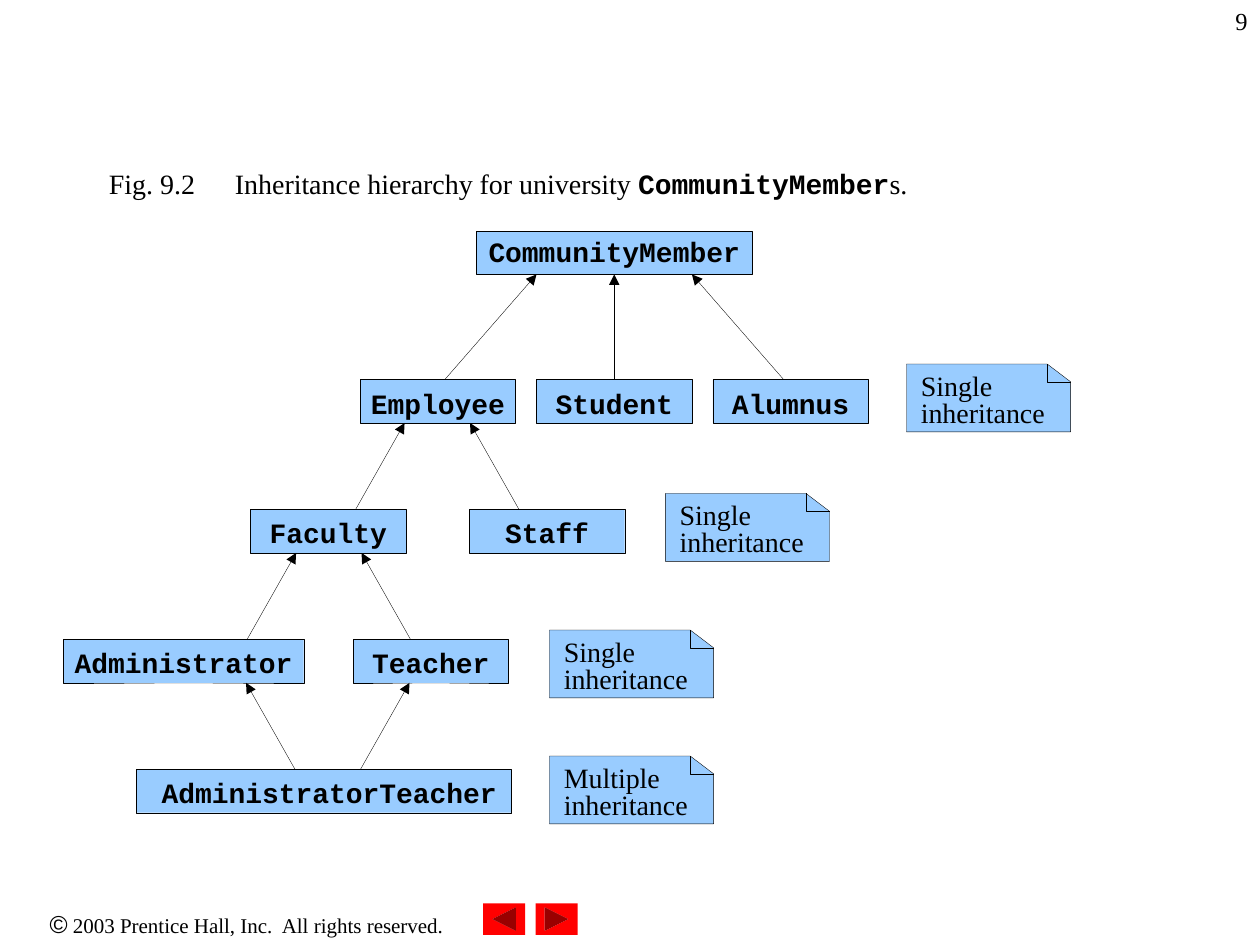
from lxml import etree
from pptx import Presentation
from pptx.dml.color import RGBColor
from pptx.enum.shapes import MSO_CONNECTOR, MSO_SHAPE
from pptx.enum.text import MSO_ANCHOR, PP_ALIGN
from pptx.oxml.ns import qn
from pptx.util import Pt

BLACK = RGBColor(0x00, 0x00, 0x00)
BLUE = RGBColor(0x99, 0xCC, 0xFF)
RED = RGBColor(0xFF, 0x00, 0x00)

SERIF, MONO, SANS = "Times New Roman", "Courier New", "Arial"
LEFT, CENTER, RIGHT = PP_ALIGN.LEFT, PP_ALIGN.CENTER, PP_ALIGN.RIGHT
TOP = MSO_ANCHOR.TOP
RECT = MSO_SHAPE.RECTANGLE
BACK = MSO_SHAPE.ACTION_BUTTON_BACK_OR_PREVIOUS
NEXT = MSO_SHAPE.ACTION_BUTTON_FORWARD_OR_NEXT
STRAIGHT = MSO_CONNECTOR.STRAIGHT

LINE_W = 0.2
BOX_H = 24.8
NOTE_W, NOTE_H = 93.8, 38.8
FOLD_W, FOLD_H = 13.4, 10.2


def add_run(p, text, font=SERIF, size=16, bold=False):
    r = p.add_run()
    r.text = text
    r.font.name = font
    r.font.size = Pt(size)
    r.font.bold = bold
    r.font.color.rgb = BLACK


class Diagram:
    """Holds the drawing style and the current slide."""

    def __init__(self, slide):
        self.shapes = slide.shapes

    def outline(self, sp, fill=BLUE):
        sp.shadow.inherit = False
        if fill is None:
            sp.fill.background()
        else:
            sp.fill.solid()
            sp.fill.fore_color.rgb = fill
        sp.line.color.rgb = BLACK
        sp.line.width = Pt(LINE_W)

    def paragraph(self, sp, align, insets, wrap=True, spacing=None):
        tf = sp.text_frame
        tf.word_wrap = wrap
        tf.vertical_anchor = TOP
        tf.margin_left, tf.margin_top, tf.margin_right, tf.margin_bottom = map(Pt, insets)
        p = tf.paragraphs[0]
        p.alignment = align
        if spacing:
            p.line_spacing = spacing
        return p

    def text(self, x, y, w, h, runs, align=LEFT, wrap=True):
        sp = self.shapes.add_textbox(Pt(x), Pt(y), Pt(w), Pt(h))
        p = self.paragraph(sp, align, (7.2, 3.6, 7.2, 3.6), wrap)
        for text, fmt in runs:
            add_run(p, text, **fmt)

    def class_box(self, name, x, y, w, inset_top=7.4, inset_left=0):
        sp = self.shapes.add_shape(RECT, Pt(x), Pt(y), Pt(w), Pt(BOX_H))
        self.outline(sp)
        p = self.paragraph(sp, CENTER, (inset_left, inset_top, 0, 0), spacing=0.8)
        add_run(p, name, font=MONO, bold=True)
        return sp

    def freeform(self, points, close, fill):
        (x, y), *rest = [(Pt(px), Pt(py)) for px, py in points]
        builder = self.shapes.build_freeform(x, y)
        builder.add_line_segments(rest, close=close)
        sp = builder.convert_to_shape()
        self.outline(sp, fill)
        return sp

    def note(self, text, x, y):
        right, bottom = x + NOTE_W, y + NOTE_H
        corner = [(right, y + FOLD_H), (right - FOLD_W, y + FOLD_H), (right - FOLD_W, y)]
        sp = self.freeform([corner[2], corner[0], (right, bottom), (x, bottom), (x, y)],
                           True, BLUE)
        p = self.paragraph(sp, LEFT, (8.2, 6.2, 8.2, 0), spacing=0.8)
        add_run(p, text)
        self.freeform(corner, False, None)

    def arrow(self, child, parent, x1=None, x2=None):
        """Point from a child's top to its parent's bottom; join the middles if no x."""
        bottom = parent.top + parent.height
        cx = self.shapes.add_connector(STRAIGHT, Pt(x1 or 0), child.top, Pt(x2 or 0), bottom)
        if x1 is None:
            cx.begin_connect(child, 0)
            cx.end_connect(parent, 2)
        cx.line.color.rgb = BLACK
        cx.line.width = Pt(LINE_W)
        etree.SubElement(cx.line._get_or_add_ln(), qn("a:tailEnd"), type="triangle")
        etree.SubElement(cx._element.spPr, qn("a:effectLst"))

    def button(self, kind, x):
        sp = self.shapes.add_shape(kind, Pt(x), Pt(516.2), Pt(24), Pt(18))
        self.outline(sp, RED)
        sp.line.fill.background()


def main():
    prs = Presentation()
    prs.slide_width, prs.slide_height = Pt(720), Pt(540)
    d = Diagram(prs.slides.add_slide(prs.slide_layouts[6]))

    # Footer and navigation buttons
    d.text(0, 516.2, 282, 24.5, [
        ("©", {"font": SANS, "size": 14}),
        (" 2003 Prentice Hall, Inc.  All rights reserved.", {"size": 12}),
    ], align=CENTER)
    d.button(NEXT, 306)
    d.button(BACK, 276)

    # Class boxes, one row per level
    rows = [132] + [216.9 + 74.25 * i for i in range(4)]
    w = 88.8
    boxes = {
        name: d.class_box(name, x, rows[level], width, **insets)
        for name, level, x, width, insets in [
            ("CommunityMember", 0, 272.2, 157.6, {"inset_top": 5.6}),
            ("Employee", 1, 205.8, w, {}),
            ("Student", 1, 306.6, w, {}),
            ("Alumnus", 1, 407.4, w, {}),
            ("Faculty", 2, 143.2, w, {}),
            ("Staff", 2, 268.2, w, {}),
            ("Administrator", 3, 36.2, 137.4, {}),
            ("Teacher", 3, 201.8, w, {}),
            ("AdministratorTeacher", 4, 78, 214.2, {"inset_left": 6}),
        ]
    }

    # Inheritance arrows
    for child, parent, *ends in [
        ("Student", "CommunityMember"),
        ("Employee", "CommunityMember", 254.2, 306.6),
        ("Alumnus", "CommunityMember", 447.8, 395.4),
        ("Staff", "Employee", 296.6, 268.6),
        ("Faculty", "Employee", 203.2, 231.2),
        ("Teacher", "Faculty", 234.6, 206.6),
        ("Administrator", "Faculty", 141.2, 169.2),
        ("AdministratorTeacher", "Teacher", 206, 234),
        ("AdministratorTeacher", "Administrator", 168.6, 140.6),
    ]:
        d.arrow(boxes[child], boxes[parent], *ends)

    # Notes on the kind of inheritance
    for kind, x, y in [("Single", 518, 208), ("Single", 380.2, 282),
                       ("Single", 314, 360), ("Multiple", 314, 432)]:
        d.note(f"{kind} inheritance", x, y)

    # Caption and page number
    d.text(55.2, 91.4, 471, 26.6, [
        ("Fig. 9.2\tInheritance hierarchy for university ", {}),
        ("CommunityMember", {"font": MONO, "bold": True}),
        ("s.", {}),
    ], wrap=False)
    d.text(570, 0, 150, 36, [("9", {"size": 14})], align=RIGHT)

    prs.save("out.pptx")


if __name__ == "__main__":
    main()
